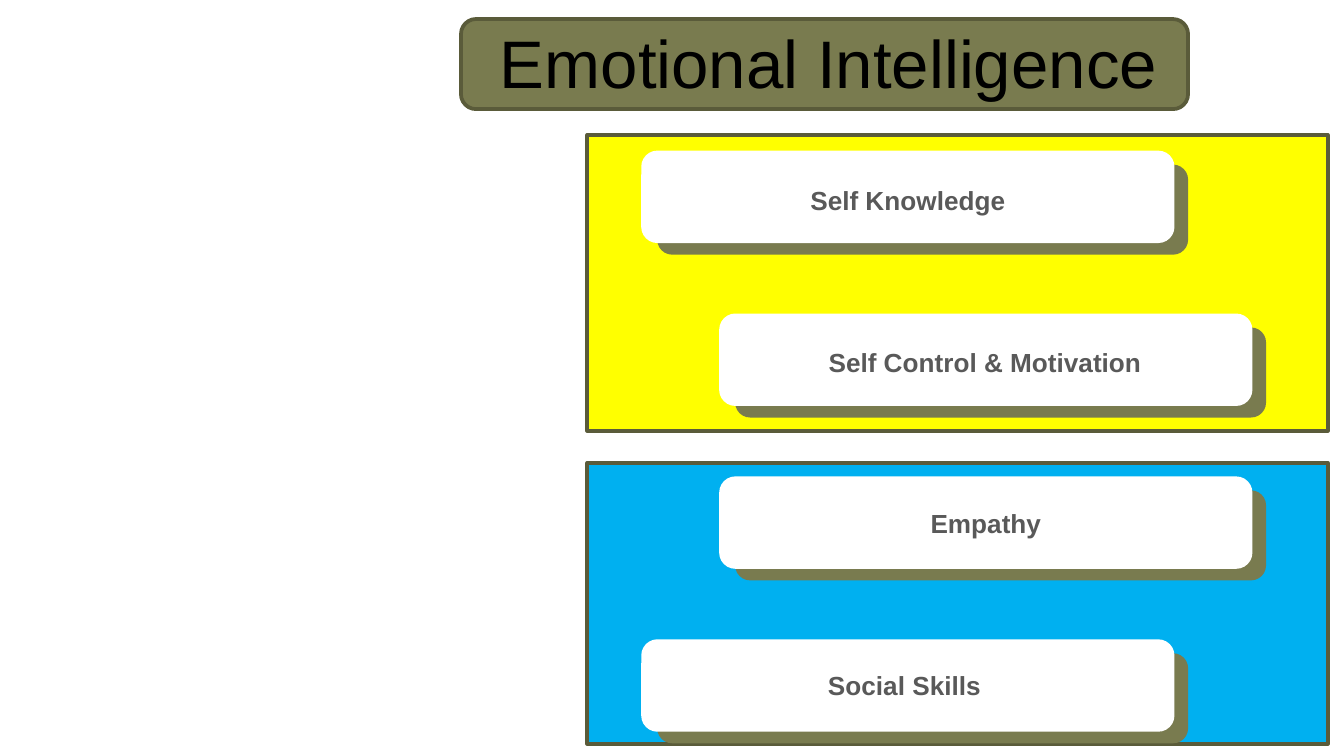
from collections import namedtuple

from pptx import Presentation
from pptx.dml.color import RGBColor
from pptx.enum.shapes import MSO_SHAPE as Shape
from pptx.enum.text import MSO_ANCHOR as Anchor, MSO_AUTO_SIZE as AutoSize, PP_ALIGN as Align
from pptx.util import Inches, Pt

Box = namedtuple("Box", "left top width height")

SLIDE_WIDTH = 10
SLIDE_HEIGHT = SLIDE_WIDTH * 9 / 16
GRID = SLIDE_WIDTH / 100
OLIVE, DARK_OLIVE = "797B4F", "5A5B3A"
WHITE, BLACK, GRAY = "FFFFFF", "000000", "595959"

PANELS = [
    (Box(43.7, 34.45, 55.1, 20.9), "00B0F0"),
    (Box(43.7, 10.05, 55.1, 22), "FFFF00"),
]
CARD_WIDTH, CARD_HEIGHT = 39.5, 6.7
CARD_TOP, CARD_PITCH = 11.3, 12.12
OUTER_LEFT, INNER_LEFT = 47.8, 53.6
CARDS = [
    ("Self Knowledge", OUTER_LEFT, Box(3.2, 1.9, 33.1, 3.4)),
    ("Self Control & Motivation", INNER_LEFT, Box(2, 1.8, 35.4, 3.4)),
    ("Empathy", INNER_LEFT, Box(0.3, 1.7, 38.9, 3.4)),
    ("Social Skills", OUTER_LEFT, Box(0.3, 1.6, 38.4, 3.4)),
]


def color(hex_string):
    return RGBColor.from_string(hex_string)


def lengths(box):
    return [Inches(units * GRID) for units in box]


def within(box, part):
    return Box(box.left + part.left, box.top + part.top, part.width, part.height)


def add_block(shapes, kind, box, fill, line=None, line_width=2):
    shape = shapes.add_shape(kind, *lengths(box))
    shape.shadow.inherit = False
    shape.fill.solid()
    shape.fill.fore_color.rgb = color(fill)
    if line:
        shape.line.color.rgb = color(line)
        shape.line.width = Pt(line_width)
    else:
        shape.line.fill.background()
    return shape


def write(shape, text, size, font_color, alignment, bold=False):
    text_frame = shape.text_frame
    text_frame.text = text
    text_frame.word_wrap = True
    text_frame.vertical_anchor = Anchor.MIDDLE
    paragraph = text_frame.paragraphs[0]
    paragraph.alignment = alignment
    font = paragraph.runs[0].font
    font.name = "Arial"
    font.size = Pt(size)
    font.bold = bold
    font.color.rgb = color(font_color)


def add_header(slide, box, text):
    add_block(slide.shapes, Shape.ROUNDED_RECTANGLE, box, OLIVE, DARK_OLIVE)
    title = slide.shapes.title
    title_box = within(box, Box(1.9, 0, 62.6, 6.3))
    title.left, title.top, title.width, title.height = lengths(title_box)
    write(title, text, 36, BLACK, Align.LEFT)
    title.text_frame.auto_size = AutoSize.NONE
    title.element.getparent().append(title.element)


def add_card(slide, box, text, label_part):
    shapes = slide.shapes.add_group_shape().shapes
    backing = within(box, Box(1.1, 0.95, box.width, box.height))
    add_block(shapes, Shape.ROUNDED_RECTANGLE, backing, OLIVE)
    add_block(shapes, Shape.ROUNDED_RECTANGLE, box, WHITE, WHITE, 1.25)
    label = shapes.add_textbox(*lengths(within(box, label_part)))
    write(label, text, 14, GRAY, Align.CENTER, bold=True)
    label.text_frame.auto_size = AutoSize.SHAPE_TO_FIT_TEXT


def main():
    presentation = Presentation()
    presentation.slide_width = Inches(SLIDE_WIDTH)
    presentation.slide_height = Inches(SLIDE_HEIGHT)
    slide = presentation.slides.add_slide(presentation.slide_layouts.get_by_name("Title Only"))

    for box, fill in PANELS:
        add_block(slide.shapes, Shape.RECTANGLE, box, fill, DARK_OLIVE)
    add_header(slide, Box(34.3, 1.42, 54.1, 6.7), "Emotional Intelligence")
    for row, (text, left, label_part) in enumerate(CARDS):
        box = Box(left, CARD_TOP + row * CARD_PITCH, CARD_WIDTH, CARD_HEIGHT)
        add_card(slide, box, text, label_part)

    presentation.save("out.pptx")


if __name__ == "__main__":
    main()
